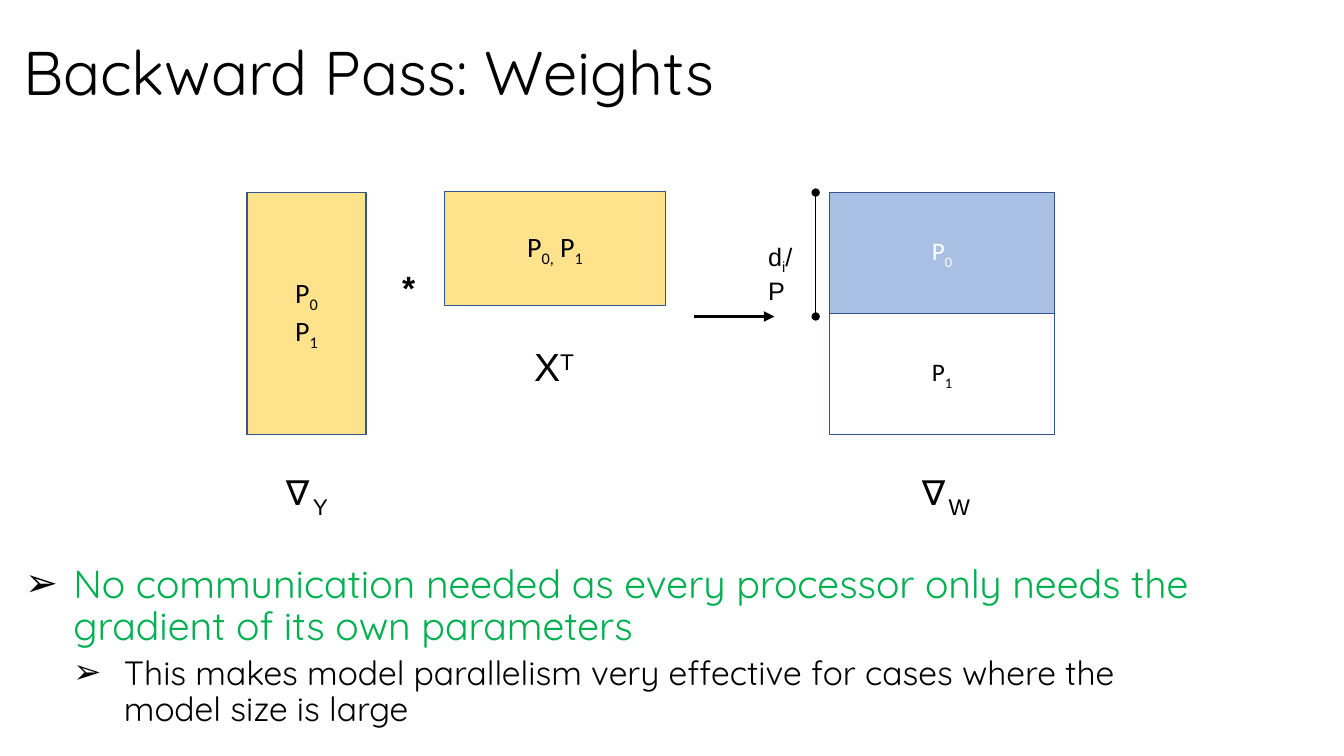
from lxml import etree
from pptx import Presentation
from pptx.dml.color import RGBColor
from pptx.enum.shapes import MSO_CONNECTOR, MSO_SHAPE
from pptx.enum.text import MSO_ANCHOR, PP_ALIGN
from pptx.oxml.ns import qn
from pptx.util import Emu, Pt

PX = 9144  # EMU per px, 100 px to the inch

BLACK = RGBColor(0x00, 0x00, 0x00)
WHITE = RGBColor(0xFF, 0xFF, 0xFF)
GREEN = RGBColor(0x00, 0xB0, 0x50)
GOLD = RGBColor(0xFF, 0xC0, 0x00)
BLUE = RGBColor(0x44, 0x72, 0xC4)
OUTLINE = RGBColor(0x32, 0x54, 0x91)

RECTANGLE = MSO_SHAPE.RECTANGLE
STRAIGHT = MSO_CONNECTOR.STRAIGHT
CENTER, LEFT = PP_ALIGN.CENTER, PP_ALIGN.LEFT
MIDDLE, TOP = MSO_ANCHOR.MIDDLE, MSO_ANCHOR.TOP

SUBSCRIPT, SUPERSCRIPT = -25, 30  # percent of the text size
FILL_ALPHA = 45


def px(*lengths):
    return [Emu(length * PX) for length in lengths]


def set_attributes(target, values):
    for name, value in values.items():
        setattr(target, name, value)


def add_run(paragraph, text, baseline, font, color):
    run = paragraph.add_run()
    run.text = text
    set_attributes(run.font, font)
    run.font.color.rgb = color
    if baseline:
        run.font._element.set("baseline", str(baseline * 1000))


def write_lines(frame, lines, font, color, align):
    """Write each line, a list of (text, baseline) pairs, as a paragraph."""
    for index, line in enumerate(lines):
        paragraph = frame.paragraphs[0] if index == 0 else frame.add_paragraph()
        paragraph.alignment = align
        for text, baseline in line:
            add_run(paragraph, text, baseline, font, color)


def add_matrix(slide, box, lines, size, color=BLACK, fill=None):
    shape = slide.shapes.add_shape(RECTANGLE, *px(*box))
    shape.shadow.inherit = False
    if fill is None:
        shape.fill.background()
    else:
        shape.fill.solid()
        shape.fill.fore_color.rgb = fill
        tint = shape._element.spPr.find(qn("a:solidFill"))[0]
        etree.SubElement(tint, qn("a:alpha"), val=str(FILL_ALPHA * 1000))
    shape.line.color.rgb = OUTLINE
    shape.line.width = Pt(1)
    set_attributes(shape.text_frame, {"word_wrap": True, "vertical_anchor": MIDDLE})
    font = {"name": "Calibri", "size": Pt(size)}
    write_lines(shape.text_frame, lines, font, color, CENTER)


def add_label(slide, box, line, size, align=CENTER, name="Arial", bold=False,
              anchor=TOP, wrap=True):
    frame = slide.shapes.add_textbox(*px(*box)).text_frame
    set_attributes(frame, {"word_wrap": wrap, "vertical_anchor": anchor})
    font = {"name": name, "size": Pt(size), "bold": bold}
    write_lines(frame, [line], font, BLACK, align)
    return frame


def add_line(slide, start, end, width, ends):
    line = slide.shapes.add_connector(STRAIGHT, *px(*start, *end))
    line.line.color.rgb = BLACK
    line.line.width = Pt(width)
    outline = line.line._get_or_add_ln()
    for tag, kind in ends.items():
        etree.SubElement(outline, qn(tag), type=kind)
    etree.SubElement(line._element.spPr, qn("a:effectLst"))


def add_bullet(paragraph, text, level, margin, indent, size, color, before):
    properties = paragraph._p.get_or_add_pPr()
    properties.set("marL", str(margin * PX))
    properties.set("indent", str(indent * PX))
    bullet_color = etree.SubElement(properties, qn("a:buClr"))
    etree.SubElement(bullet_color, qn("a:srgbClr"), val=str(BLACK))
    etree.SubElement(properties, qn("a:buFont"), typeface="Arial")
    etree.SubElement(properties, qn("a:buChar"), char="➢")
    set_attributes(paragraph, {"level": level, "line_spacing": 0.9,
                               "space_before": Pt(before)})
    add_run(paragraph, text, 0, {"name": "Quicksand", "size": Pt(size)}, color)


def main():
    presentation = Presentation()
    presentation.slide_width, presentation.slide_height = px(1333, 750)
    slide = presentation.slides.add_slide(presentation.slide_layouts[6])

    # Title
    title = add_label(slide, (13, 2, 1181, 145), [("Backward Pass: Weights", 0)],
                      44, LEFT, "Quicksand", anchor=MIDDLE)
    title.paragraphs[0].line_spacing = 0.9

    # Matrices, by the processors that hold them
    first = [("P", 0), ("0", SUBSCRIPT)]
    second = [("P", 0), ("1", SUBSCRIPT)]
    both = [("P", 0), ("0,", SUBSCRIPT), (" P", 0), ("1", SUBSCRIPT)]
    add_matrix(slide, (441, 190, 219, 113), [both], 20, fill=GOLD)
    add_matrix(slide, (245, 191, 118, 240), [first, second], 20, fill=GOLD)
    add_matrix(slide, (823, 191, 223, 120), [first], 18, WHITE, BLUE)
    add_matrix(slide, (823, 311, 223, 120), [second], 18)

    # Matrix names and operator
    add_label(slide, (389, 260, 37, 50), [("*", 0)], 24, LEFT, bold=True, wrap=False)
    add_label(slide, (515, 335, 69, 57), [("X", 0), ("T", SUPERSCRIPT)], 28)
    for left, width, name in ((269, 69, "Y"), (892, 90, "W")):
        add_label(slide, (left, 458, width, 57), [("∇", 0), (name, SUBSCRIPT)], 28)

    # Result arrow and height of one partition
    add_line(slide, (688, 314), (768, 314), 2.5, {"a:tailEnd": "triangle"})
    add_line(slide, (809, 191), (809, 314), 0.5,
             {"a:headEnd": "oval", "a:tailEnd": "oval"})
    add_label(slide, (752, 234, 60, 40),
              [("d", 0), ("i", SUBSCRIPT), ("/P", 0)], 18, LEFT)

    # Conclusions
    body = slide.shapes.add_textbox(*px(13, 555, 1181, 195)).text_frame
    body.word_wrap = True
    add_bullet(body.paragraphs[0],
               "No communication needed as every processor only needs the "
               "gradient of its own parameters", 0, 50, -48, 28, GREEN, 0)
    add_bullet(body.add_paragraph(),
               "This makes model parallelism very effective for cases where "
               "the model size is large", 1, 100, -50, 24, BLACK, 5)

    presentation.save("out.pptx")


if __name__ == "__main__":
    main()
